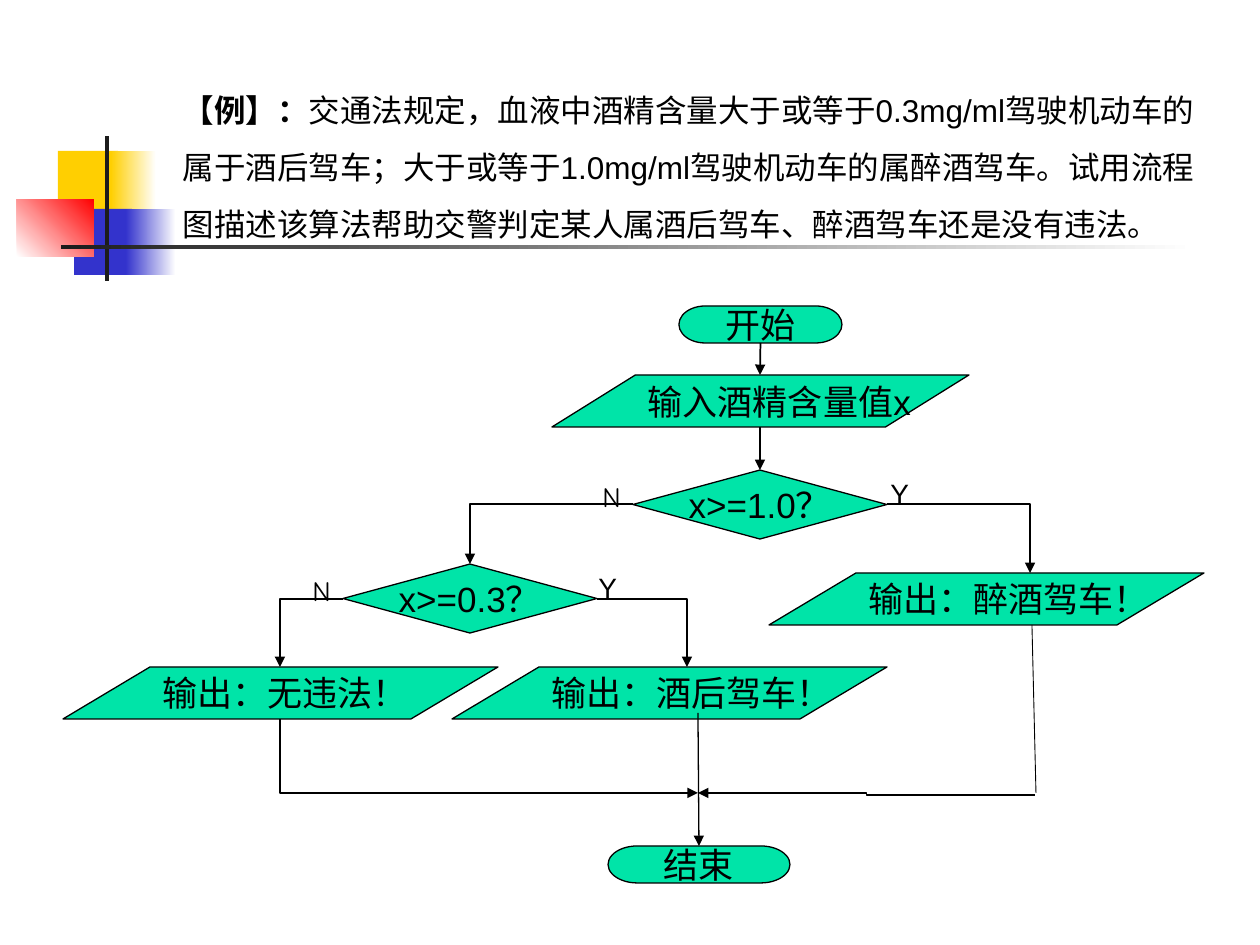
from lxml.etree import SubElement
from pptx import Presentation
from pptx.dml.color import RGBColor
from pptx.enum.shapes import MSO_CONNECTOR as CONN, MSO_SHAPE as SHAPE
from pptx.enum.text import MSO_ANCHOR as ANCHOR, MSO_AUTO_SIZE as FIT, PP_ALIGN as ALIGN
from pptx.oxml.ns import qn
from pptx.util import Emu, Inches, Pt

COLORS = {"black": "000000", "white": "FFFFFF", "node": "00E4A8", "yellow": "FFCF01",
          "blue": "3333CC", "red": "FF0000", "dark": "1C1C1C"}
FONT = "Arial"

TITLE_BOX = (170, 66, 1066, 185)
TITLE = [
    ("【例】：", True),
    ("交通法规定，血液中酒精含量大于或等于0.3mg/ml驾驶机动车的属于酒后驾车；"
     "大于或等于1.0mg/ml驾驶机动车的属醉酒驾车。试用流程图描述该算法"
     "帮助交警判定某人属酒后驾车、醉酒驾车还是没有违法。", False),
]

# box, colours (two make a gradient), gradient angle counter-clockwise
DECORATION = [
    ((58, 151, 60, 66), ["yellow"], 0),
    ((111, 151, 45, 66), ["yellow", "white"], 0),
    ((74, 209, 58, 66), ["blue"], 0),
    ((126, 209, 50, 66), ["blue", "white"], 0),
    ((17, 199, 77, 58), ["white", "red"], 45),
    ((105, 136, 4, 145), ["dark"], 0),
    ((61, 245, 1134, 4), ["dark", "white"], 0),
]

TERMINATOR = SHAPE.FLOWCHART_TERMINATOR
DECISION = SHAPE.FLOWCHART_DECISION
DATA = SHAPE.FLOWCHART_DATA
NODES = {
    "start": (TERMINATOR, (679, 306, 163, 37), "开始"),
    "input": (DATA, (552, 375, 417, 52), "输入酒精含量值x"),
    "drunk?": (DECISION, (633, 470, 254, 69), "x>=1.0？"),
    "drunk": (DATA, (769, 573, 435, 52), "输出：醉酒驾车！"),
    "drinking?": (DECISION, (343, 564, 254, 69), "x>=0.3？"),
    "drinking": (DATA, (452, 667, 435, 52), "输出：酒后驾车！"),
    "legal": (DATA, (63, 667, 435, 52), "输出：无违法！"),
    "end": (TERMINATOR, (608, 846, 182, 37), "结束"),
}

LABELS = [
    ("N", "Comic Neue", (590, 473, 44, 40)),
    ("Y", FONT, (878, 470, 38, 40)),
    ("Y", FONT, (586, 564, 38, 40)),
    ("N", "Comic Neue", (300, 567, 44, 40)),
]

# from, to, width, arrowhead, node joined at its bottom, node joined at its top
STRAIGHT = [
    ((760, 343), (760, 375), 1, True, "start", None),
    ((760, 427), (760, 470), 0.75, True, None, "drunk?"),
    ((1036, 793), (1032, 625), 0.5, False, None, None),
    ((698, 713), (699, 846), 0.75, True, None, "end"),
]

# from, to, preset, arrowhead end; a bentConnector2 runs sideways first
BENT = [
    ((887, 504), (1030, 573), "bentConnector2", "tailEnd"),
    ((633, 504), (470, 564), "bentConnector2", "tailEnd"),
    ((597, 599), (687, 667), "bentConnector2", "tailEnd"),
    ((343, 599), (280, 667), "bentConnector2", "tailEnd"),
    ((1035, 795), (698, 793), "bentConnector3", "tailEnd"),
    ((698, 793), (280, 719), "bentConnector2", "headEnd"),
]


def px(n):
    return Emu(round(n * 914400 / 126))


def rgb(name):
    return RGBColor.from_string(COLORS[name])


def add_run(p, text, size, font=FONT, bold=False):
    r = p.add_run()
    r.text = text
    r.font.size, r.font.name, r.font.bold = Pt(size), font, bold
    r.font.color.rgb = rgb("black")


def add_decoration(box, names, angle):
    sp = s.shapes.add_shape(SHAPE.RECTANGLE, *map(px, box))
    sp.shadow.inherit = False
    sp.line.fill.background()
    if len(names) == 1:
        sp.fill.solid()
        sp.fill.fore_color.rgb = rgb(names[0])
        return
    sp.fill.gradient()
    sp.fill.gradient_angle = angle
    for stop, name, position in zip(sp.fill.gradient_stops, names, (0, 1)):
        stop.color.rgb = rgb(name)
        stop.position = position


def add_node(kind, box, text):
    sp = s.shapes.add_shape(kind, *map(px, box))
    sp.shadow.inherit = False
    sp.fill.solid()
    sp.fill.fore_color.rgb = rgb("node")
    sp.line.color.rgb = rgb("black")
    sp.line.width = Pt(0.75)
    tf = sp.text_frame
    tf.word_wrap = False
    tf.vertical_anchor = ANCHOR.MIDDLE
    p = tf.paragraphs[0]
    p.alignment = ALIGN.LEFT if kind == DATA else ALIGN.CENTER
    add_run(p, text, 20)
    return sp


def add_label(text, font, box):
    tf = s.shapes.add_textbox(*map(px, box)).text_frame
    tf.word_wrap = False
    tf.auto_size = FIT.SHAPE_TO_FIT_TEXT
    add_run(tf.paragraphs[0], text, 16, font)


def add_line(kind, start, end, width, arrow=None):
    """Add a connector; arrow is headEnd, tailEnd or None."""
    c = s.shapes.add_connector(kind, *map(px, start + end))
    c.line.color.rgb = rgb("black")
    c.line.width = Pt(width)
    if arrow:
        SubElement(c.line._get_or_add_ln(), qn("a:" + arrow), type="triangle")
    SubElement(c.element.spPr, qn("a:effectLst"))
    return c


prs = Presentation()
prs.slide_width, prs.slide_height = Inches(10), Inches(7.5)
s = prs.slides.add_slide(prs.slide_layouts[5])

for item in DECORATION:
    add_decoration(*item)

title = s.shapes.title
title.element.getparent().append(title.element)  # in front of the decoration
title.left, title.top, title.width, title.height = map(px, TITLE_BOX)
tf = title.text_frame
tf.word_wrap = True
tf.auto_size = FIT.SHAPE_TO_FIT_TEXT
tf.vertical_anchor = ANCHOR.TOP
p = tf.paragraphs[0]
p.alignment = ALIGN.LEFT
p.line_spacing = 1.5
for text, bold in TITLE:
    add_run(p, text, 18, bold=bold)

nodes = {name: add_node(*node) for name, node in NODES.items()}

for start, end, width, arrow, above, below in STRAIGHT:
    c = add_line(CONN.STRAIGHT, start, end, width, "tailEnd" if arrow else None)
    if above:
        c.begin_connect(nodes[above], 2)
    if below:
        c.end_connect(nodes[below], 0)

for start, end, preset, arrow in BENT:
    c = add_line(CONN.ELBOW, start, end, 0.75, arrow)
    c.element.spPr.find(qn("a:prstGeom")).set("prst", preset)

for label in LABELS:
    add_label(*label)

prs.save("out.pptx")
